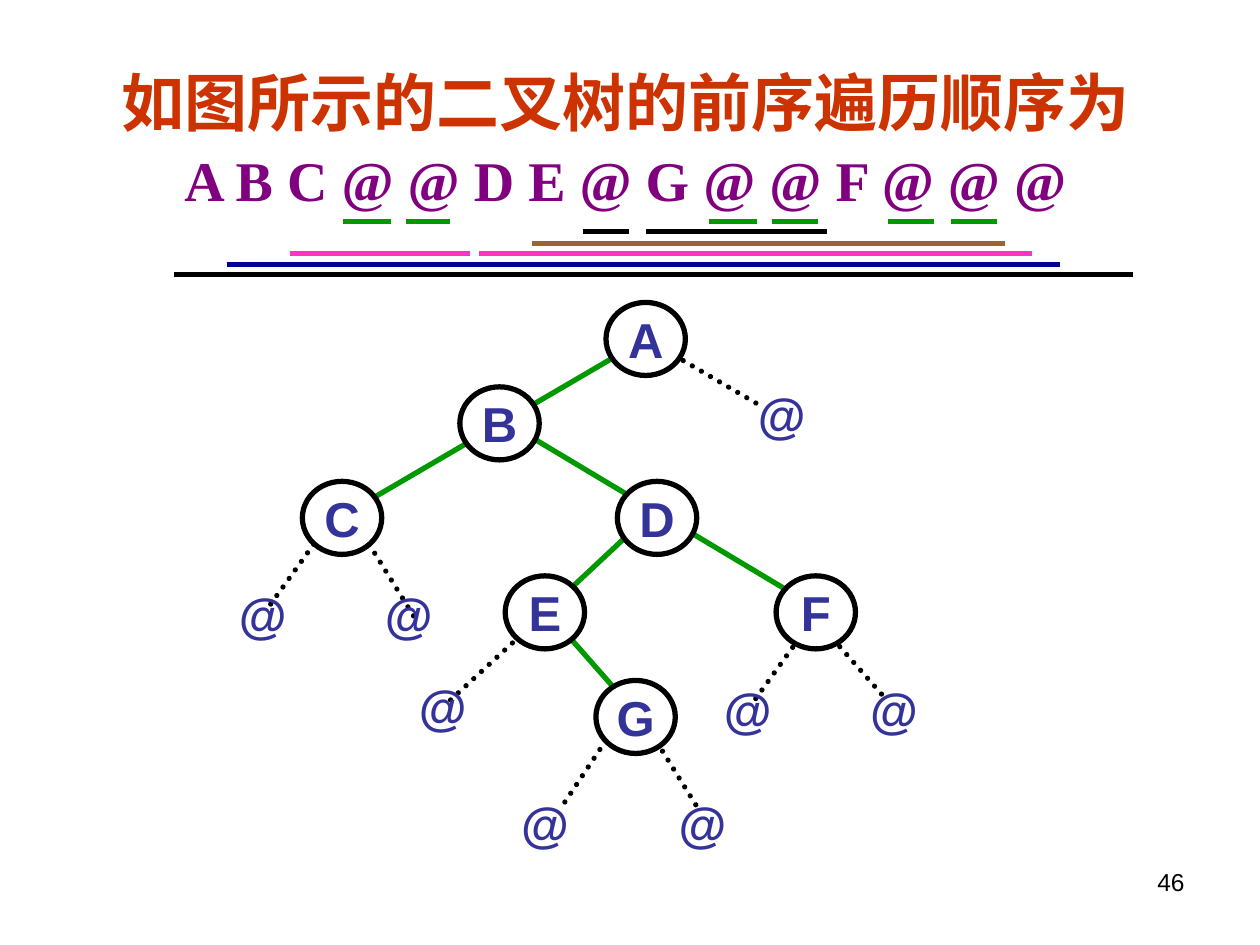
from lxml import etree
from pptx import Presentation
from pptx.dml import color
from pptx.enum import dml, shapes, text
from pptx.oxml import ns
from pptx import util as u

PX = 9144
rgb = color.RGBColor.from_string


def write(p, words, size, fill, font="Arial", bold=True, align="CENTER", spacing=None):
    p.alignment = text.PP_ALIGN[align]
    p.line_spacing = spacing
    r = p.add_run()
    r.text = words
    r.font.name = font
    r.font.size = u.Pt(size)
    r.font.bold = bold
    r.font.color.rgb = rgb(fill)


def draw_line(group, x1, y1, x2, y2, stroke, dotted=False):
    c = group.shapes.add_connector(
        shapes.MSO_CONNECTOR.STRAIGHT, x1 * PX, y1 * PX, x2 * PX, y2 * PX)
    c.line.color.rgb = rgb(stroke)
    c.line.width = u.Pt(3)
    sp_pr = c.element.spPr
    if dotted:
        c.line.dash_style = dml.MSO_LINE.ROUND_DOT
        sp_pr.find(ns.qn("a:ln")).set("cap", "rnd")
    etree.SubElement(sp_pr, ns.qn("a:effectLst"))


prs = Presentation()
prs.slide_width, prs.slide_height = 1000 * PX, 750 * PX
s = prs.slides.add_slide(prs.slide_layouts[5])

title = s.shapes.title
title.left, title.top, title.width, title.height = 71 * PX, 39 * PX, 851 * PX, 135 * PX
tf = title.text_frame
tf.auto_size = text.MSO_AUTO_SIZE.SHAPE_TO_FIT_TEXT
tf.vertical_anchor = text.MSO_ANCHOR.MIDDLE
write(tf.paragraphs[0], "如图所示的二叉树的前序遍历顺序为", 36, "CC3300",
      font="Times New Roman", spacing=1.1)
write(tf.add_paragraph(), "A B C @ @ D E @ G @ @ F @ @ @", 32, "800080",
      font="Times New Roman", spacing=1.1)

tree = s.shapes.add_group_shape()
empty_edges = [
    (419, 499, 356, 557), (490, 574, 446, 640), (517, 582, 553, 640),
    (249, 432, 213, 482), (293, 432, 329, 490), (661, 507, 705, 557),
    (535, 282, 607, 324), (634, 507, 598, 557),
]
for ends in empty_edges:
    draw_line(tree, *ends, "000000", dotted=True)

branches = [(446, 499, 490, 549), (499, 424, 437, 482),
            (410, 340, 634, 474), (490, 282, 276, 407)]
for ends in branches:
    draw_line(tree, *ends, "009900")

nodes = [("A", 481, 240), ("B", 365, 307), ("C", 240, 382), ("D", 490, 382),
         ("E", 401, 457), ("F", 616, 457), ("G", 473, 540)]
for name, x, y in nodes:
    sp = tree.shapes.add_shape(
        shapes.MSO_SHAPE.OVAL, x * PX, y * PX, 63 * PX, 58 * PX)
    sp.shadow.inherit = False
    sp.fill.solid()
    sp.fill.fore_color.rgb = rgb("FFFFFF")
    sp.line.color.rgb = rgb("000000")
    sp.line.width = u.Pt(3)
    tf = sp.text_frame
    tf.word_wrap = False
    tf.vertical_anchor = text.MSO_ANCHOR.MIDDLE
    tf.margin_left = tf.margin_right = tf.margin_top = tf.margin_bottom = 0
    write(tf.paragraphs[0], name, 28, "333399")

empty_nodes = [(177, 459), (293, 459), (320, 532), (401, 625),
               (526, 625), (562, 534), (678, 534), (589, 300)]
for x, y in empty_nodes:
    sp = tree.shapes.add_textbox(x * PX, y * PX, 63 * PX, 57 * PX)
    tf = sp.text_frame
    tf.word_wrap = True
    tf.vertical_anchor = text.MSO_ANCHOR.MIDDLE
    write(tf.paragraphs[0], "@", 28, "333399")

underlines = s.shapes.add_group_shape()
levels = [
    ("009900", [(272, 310), (322, 357), (563, 601), (613, 649), (705, 741), (755, 791)]),
    ("000000", [(463, 499), (513, 656)]),
    ("996633", [(422, 663), (655, 798)]),
    ("FF33CC", [(230, 373), (380, 819)]),
    ("000099", [(180, 833), (805, 841)]),
    ("000000", [(138, 899)]),
]
for i, (stroke, spans) in enumerate(levels):
    y = 176 + round(8.4 * i)
    for x1, x2 in spans:
        draw_line(underlines, x1, y, x2, y, stroke)

number = s.shapes.add_textbox(717 * PX, 683 * PX, 233 * PX, 52 * PX)
tf = number.text_frame
tf.word_wrap = True
write(tf.paragraphs[0], "46", 14, "000000", bold=False, align="RIGHT")

prs.save("out.pptx")
